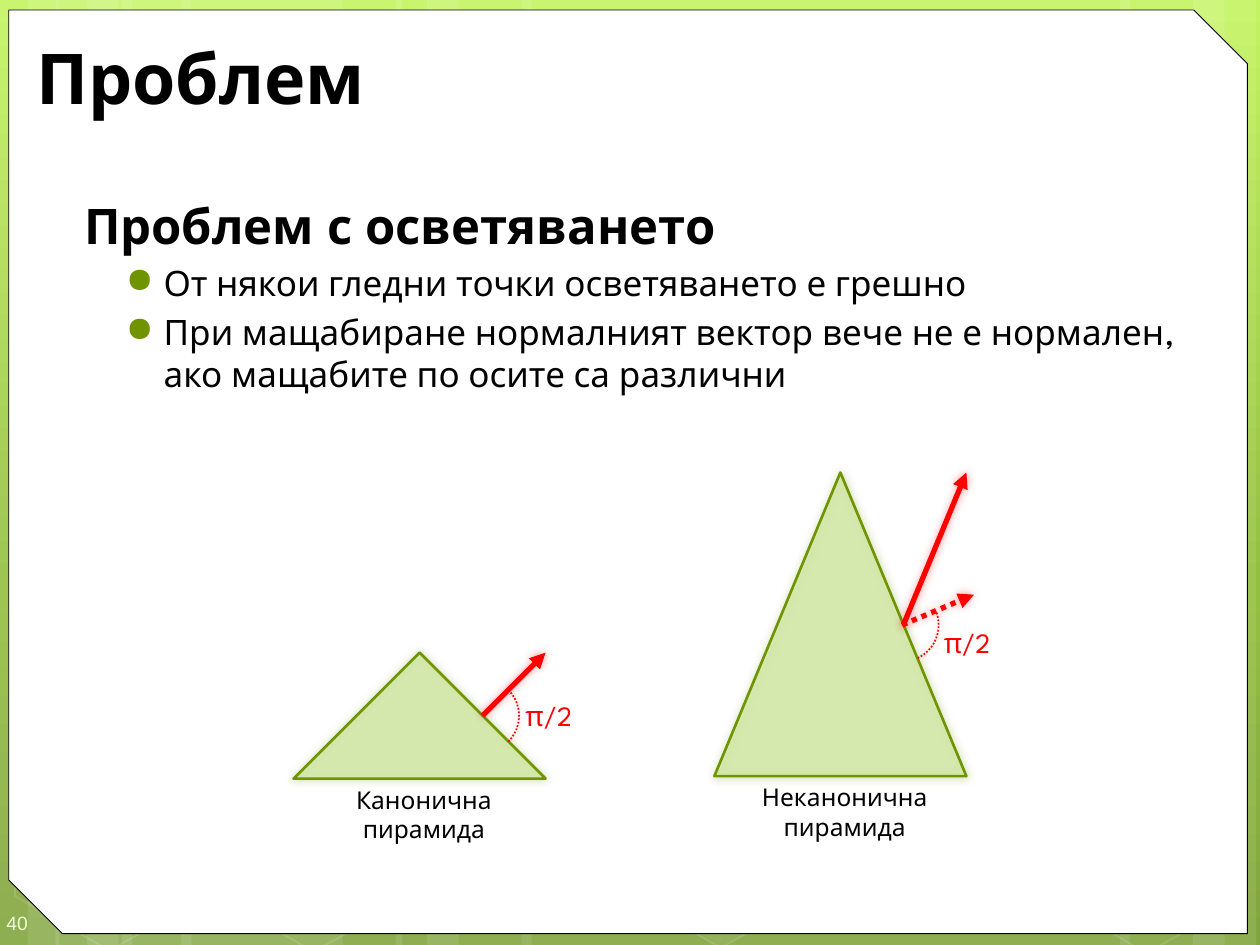
from copy import deepcopy

from lxml import etree
from pptx import Presentation
from pptx.dml.color import RGBColor
from pptx.enum import dml, shapes, text
from pptx.oxml.ns import qn
from pptx.util import Inches, Pt

COLORS = {
    "white": "FFFFFF", "black": "000000", "number": "EEFFD6",
    "green": "6F9400", "pale": "C9E890", "red": "FF0000",
}
BACKGROUND_STOPS = [("C3F35F", 0), ("93BF3F", 0.62), ("81A53E", 1)]
FONT = "League Spartan"

# Backdrop: (left, width) of stripes; (left, top, fill opacity) of hexagons
STRIPES = [(0.97, 1.75), (-0.03, 0.5), (0.22, 0.83), (1.44, 1.75), (0.44, 0.5), (0.69, 0.83),
           (7.22, 1.75), (9.47, 0.5), (8.89, 0.83), (4.14, 3.08), (3.14, 0.5), (3.39, 0.83)]
HEXAGONS = [(0, 5.91, 0), (1.62, 5.92, 0), (4.85, 5.89, 6), (8.23, 5.93, 0)]

TITLE = "Проблем"
HEADING = "Проблем с осветяването"
BULLETS = [
    "От някои гледни точки осветяването е грешно",
    "При мащабиране нормалният вектор вече не е нормален, ако мащабите по осите са различни",
]
PYRAMIDS = [
    {"name": "Канонична пирамида", "at": (2.33, 5.18, 2, 1),
     "vectors": [((3.83, 5.68), (4.33, 5.18), False)],
     "arc": (3.54, 5.39), "arc_angles": (26.98, 79.56), "angle_at": (4.17, 5.46)},
    {"name": "Неканонична пирамида", "at": (5.67, 3.75, 2, 2.41),
     "vectors": [((7.17, 4.96), (7.67, 3.75), False), ((7.16, 4.96), (7.73, 4.72), True)],
     "arc": (6.87, 4.67), "arc_angles": (15.09, 67.49), "angle_at": (7.49, 4.88)},
]

presentation = Presentation()
presentation.slide_width, presentation.slide_height = Inches(10), Inches(7.5)
slide = presentation.slides.add_slide(presentation.slide_layouts[6])


def rgb(name):
    return RGBColor.from_string(COLORS[name])


def set_alpha(color_parent, percent):
    """Make the solid colour inside an element partly transparent."""
    color = next(color_parent.iter(qn("a:srgbClr")))
    etree.SubElement(color, qn("a:alpha")).set("val", str(percent * 1000))


def add_glow_shadow(shape, color):
    """Centred soft shadow; with no colour, no shadow at all."""
    effects = etree.SubElement(shape._element.spPr, qn("a:effectLst"))
    if color:
        shadow = etree.SubElement(effects, qn("a:outerShdw"), blurRad=str(Pt(5)), dist="0", dir="0")
        etree.SubElement(shadow, qn("a:srgbClr")).set("val", COLORS[color])
        set_alpha(shadow, 40)


def add_shape(kind, at, fill=None, fill_alpha=100, line=None, width=1, line_alpha=100, shadow=None):
    shape = slide.shapes.add_shape(kind, *map(Inches, at))
    if fill:
        shape.fill.solid()
        shape.fill.fore_color.rgb = rgb(fill)
        if fill_alpha < 100:
            set_alpha(shape._element.spPr.find(qn("a:solidFill")), fill_alpha)
    else:
        shape.fill.background()
    if line:
        shape.line.color.rgb = rgb(line)
        shape.line.width = Pt(width)
        if line_alpha < 100:
            set_alpha(shape._element.spPr.find(qn("a:ln")), line_alpha)
    else:
        shape.line.fill.background()
    add_glow_shadow(shape, shadow)
    return shape


def style(paragraph, size, color="black", bold=False, font=FONT):
    paragraph.font.size = Pt(size)
    paragraph.font.bold = bold
    paragraph.font.name = font
    paragraph.font.color.rgb = rgb(color)


def set_indent(paragraph, left, first=0):
    properties = paragraph._p.get_or_add_pPr()
    properties.set("marL", str(Inches(left)))
    properties.set("indent", str(Inches(first)))
    return properties


def add_text(words, at, size, insets=(0.1, 0.05, 0.1, 0.05), middle=False, **look):
    box = slide.shapes.add_textbox(*map(Inches, at))
    frame = box.text_frame
    frame.word_wrap = True
    frame.margin_left, frame.margin_top, frame.margin_right, frame.margin_bottom = map(Inches, insets)
    frame.vertical_anchor = text.MSO_ANCHOR.MIDDLE if middle else text.MSO_ANCHOR.TOP
    frame.text = words
    style(frame.paragraphs[0], size, **look)
    return frame


def add_bullet(frame, words):
    paragraph = frame.add_paragraph()
    paragraph.text = words
    paragraph.space_before = Pt(4)
    properties = set_indent(paragraph, 0.7, -0.3)
    color = etree.SubElement(properties, qn("a:buClr"))
    etree.SubElement(color, qn("a:srgbClr")).set("val", COLORS["green"])
    etree.SubElement(properties, qn("a:buChar")).set("char", "●")
    style(paragraph, 20)


def add_vector(start, end, dotted):
    vector = slide.shapes.add_connector(shapes.MSO_CONNECTOR.STRAIGHT, *map(Inches, start + end))
    vector.line.color.rgb = rgb("red")
    vector.line.width = Pt(3)
    if dotted:
        vector.line.dash_style = dml.MSO_LINE.ROUND_DOT
    etree.SubElement(vector.line._get_or_add_ln(), qn("a:tailEnd")).set("type", "triangle")
    add_glow_shadow(vector, "red")


def add_angle_arc(corner, angles):
    arc = add_shape(shapes.MSO_SHAPE.ARC, corner + (0.58, 0.58), line="red", shadow="red")
    arc.adjustments[0], arc.adjustments[1] = angles
    arc.line.dash_style = dml.MSO_LINE.ROUND_DOT
    arc.rotation = 90
    arc._element.spPr.xfrm.set("flipV", "1")


def draw_backdrop():
    fill = slide.background.fill
    fill.gradient()
    fill.gradient_angle = 270
    stop_list = next(slide.background._cSld.iter(qn("a:gsLst")))
    stop_list.append(deepcopy(stop_list[0]))
    for stop, (color, position) in zip(fill.gradient_stops, BACKGROUND_STOPS):
        stop.color.rgb = RGBColor.from_string(color)
        stop.position = position
    for left, width in STRIPES:
        add_shape(shapes.MSO_SHAPE.RECTANGLE, (left, 0, width, 7.5), "white", 10)
    for left, top, opacity in HEXAGONS:
        hexagon = add_shape(shapes.MSO_SHAPE.HEXAGON, (left, top, 1.75, 1.52),
                            "white" if opacity else None, opacity, "white", 1, 12)
        hexagon.adjustments[0] = 0.29
        hexagon.rotation = 30
    panel = add_shape(shapes.MSO_SHAPE.SNIP_2_DIAG_RECTANGLE, (0.07, 0.08, 9.83, 7.33),
                      "white", line="black", width=0.5)
    panel.adjustments[0], panel.adjustments[1] = 0, 0.058


def draw_pyramid(pyramid):
    left, top, width, height = pyramid["at"]
    add_shape(shapes.MSO_SHAPE.ISOSCELES_TRIANGLE, pyramid["at"], "pale", 50,
              "green", 1.5, shadow="green")
    for vector in pyramid["vectors"]:
        add_vector(*vector)
    caption = add_text(pyramid["name"], (left, top + height, width, 0.57), 14).paragraphs[0]
    caption.alignment = text.PP_ALIGN.CENTER
    set_indent(caption, 0.07)
    add_angle_arc(pyramid["arc"], pyramid["arc_angles"])
    add_text("π/2", pyramid["angle_at"] + (0.82, 0.43), 16, (0, 0.05, 0, 0.05), True, color="red")


draw_backdrop()
add_text("40", (0, 7.1, 0.58, 0.4), 11, (0.05, 0.15, 0, 0.1), True, color="number", font="Arial")
add_text(TITLE, (0.19, 0.25, 9.47, 0.71), 40, middle=True, bold=True)
body = add_text(HEADING, (0.5, 1.5, 9.42, 5.92), 28, bold=True)
set_indent(body.paragraphs[0], 0.07)
for bullet in BULLETS:
    add_bullet(body, bullet)
for pyramid in PYRAMIDS:
    draw_pyramid(pyramid)

presentation.save("out.pptx")
